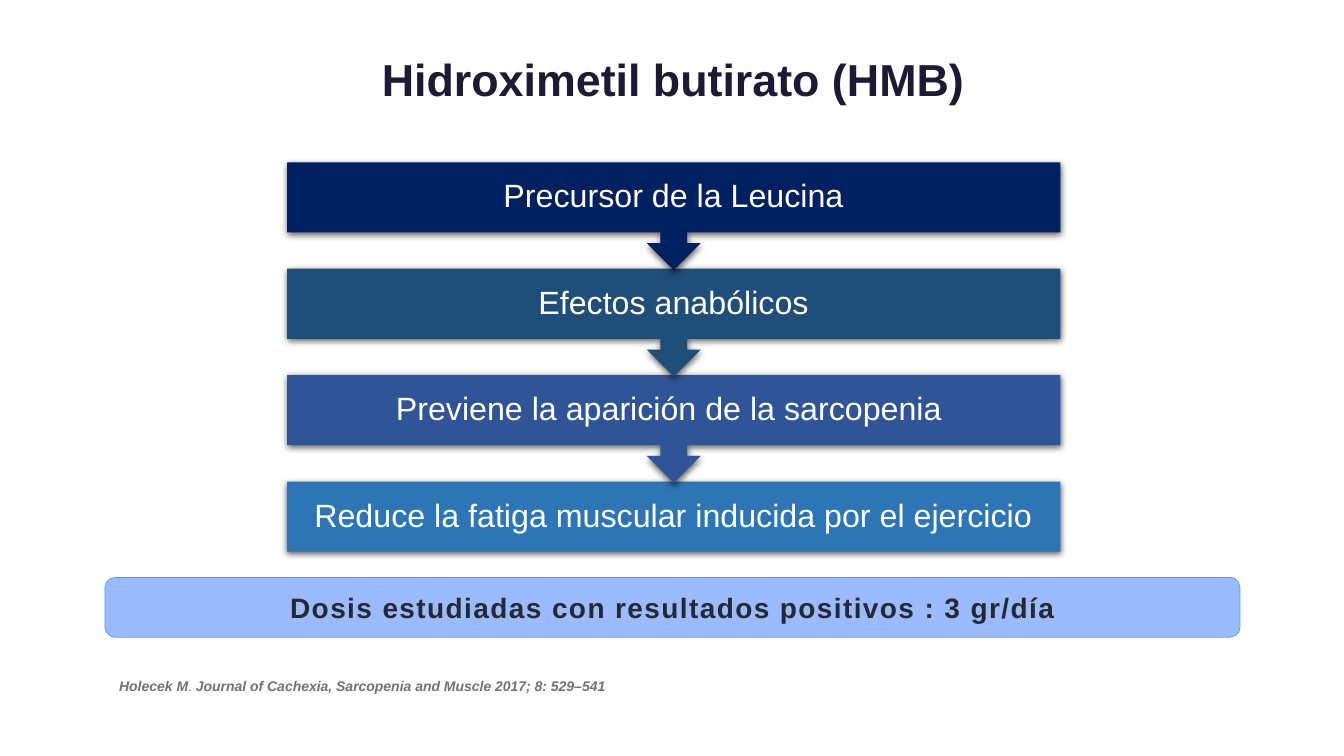
from lxml.etree import SubElement
from pptx import Presentation
from pptx.dml.color import RGBColor
from pptx.enum.shapes import MSO_SHAPE as Shape
from pptx.enum.text import MSO_ANCHOR as Anchor, PP_ALIGN as Align
from pptx.oxml.ns import qn
from pptx.util import Pt

STEPS = [
    ("Precursor de la Leucina", "002060"),
    ("Efectos anabólicos", "1F4E79"),
    ("Previene la aparición de la sarcopenia ", "2F5597"),
    ("Reduce la fatiga muscular inducida por el ejercicio", "2E75B6"),
]
CITATION = [
    ("Holecek M", True),
    (". ", False),
    ("Journal of Cachexia, Sarcopenia and Muscle 2017; 8: 529–541", True),
]


def color(hex_code):
    return RGBColor.from_string(hex_code)


def add_run(paragraph, text, size, hex_code, bold=False, italic=False):
    run = paragraph.add_run()
    run.text = text
    font = run.font
    font.name, font.size = "Arial", Pt(size)
    font.bold, font.italic = bold, italic
    font.color.rgb = color(hex_code)
    return run


def first_paragraph(shape, align, wrap=True):
    frame = shape.text_frame
    frame.word_wrap = wrap
    frame.vertical_anchor = Anchor.MIDDLE
    frame.paragraphs[0].alignment = align
    return frame.paragraphs[0]


def add_panel(slide, kind, box, fill):
    panel = slide.shapes.add_shape(kind, *map(Pt, box))
    panel.shadow.inherit = False
    panel.fill.solid()
    panel.fill.fore_color.rgb = color(fill)
    panel.line.fill.background()
    return panel


def drop_shadow(panel):
    effects = panel._element.spPr.find(qn("a:effectLst"))
    shadow = SubElement(effects, qn("a:outerShdw"), blurRad=str(Pt(4.5)),
                        dist=str(Pt(1.5)), dir="5400000", algn="ctr", rotWithShape="0")
    black = SubElement(shadow, qn("a:srgbClr"), val="000000")
    SubElement(black, qn("a:alpha"), val="63000")


def add_title(slide, box):
    title = slide.shapes.add_textbox(*map(Pt, box))
    paragraph = first_paragraph(title, Align.CENTER)
    paragraph.line_spacing = 0.9
    add_run(paragraph, "Hidroximetil butirato (HMB)", 32, "1F1A34", bold=True)


def add_steps(slide, box):
    left, top, width, height = box
    bar_height = 50
    pitch = (height - bar_height) / (len(STEPS) - 1)
    last = len(STEPS) - 1
    # Bottom step first, so that each arrow tip lies over the next bar
    for index, (text, fill) in reversed(list(enumerate(STEPS))):
        kind, step_height = Shape.DOWN_ARROW_CALLOUT, pitch + 1
        if index == last:
            kind, step_height = Shape.RECTANGLE, bar_height
        step = add_panel(slide, kind, (left, top + index * pitch, width, step_height), fill)
        drop_shadow(step)
        paragraph = first_paragraph(step, Align.CENTER)
        paragraph.line_spacing = 0.9
        add_run(paragraph, text, 23, "FFFFFF")


def add_citation(slide, box):
    citation = slide.shapes.add_textbox(*map(Pt, box))
    paragraph = first_paragraph(citation, Align.RIGHT, wrap=False)
    for text, strong in CITATION:
        add_run(paragraph, text, 10, "767171", bold=strong, italic=strong)


def add_dose(slide, box):
    dose = add_panel(slide, Shape.ROUNDED_RECTANGLE, box, "9CBBFF")
    dose.line.color.rgb = color("5B9BD5")
    dose.line.width = Pt(0.5)
    paragraph = first_paragraph(dose, Align.CENTER)
    run = add_run(paragraph, "Dosis estudiadas con resultados positivos : 3 gr/día",
                  20, "222A35", bold=True)
    run.font._element.set("spc", "100")  # letter spacing of 1 pt


def main():
    deck = Presentation()
    deck.slide_width, deck.slide_height = Pt(960), Pt(540)
    slide = deck.slides.add_slide(deck.slide_layouts[6])
    add_title(slide, (67, 21, 828, 75))
    add_steps(slide, (205.2, 116, 552.2, 278))
    add_citation(slide, (75, 480.2, 364.3, 19.4))
    add_dose(slide, (75, 412.5, 810.7, 42.7))
    deck.save("out.pptx")


if __name__ == "__main__":
    main()
